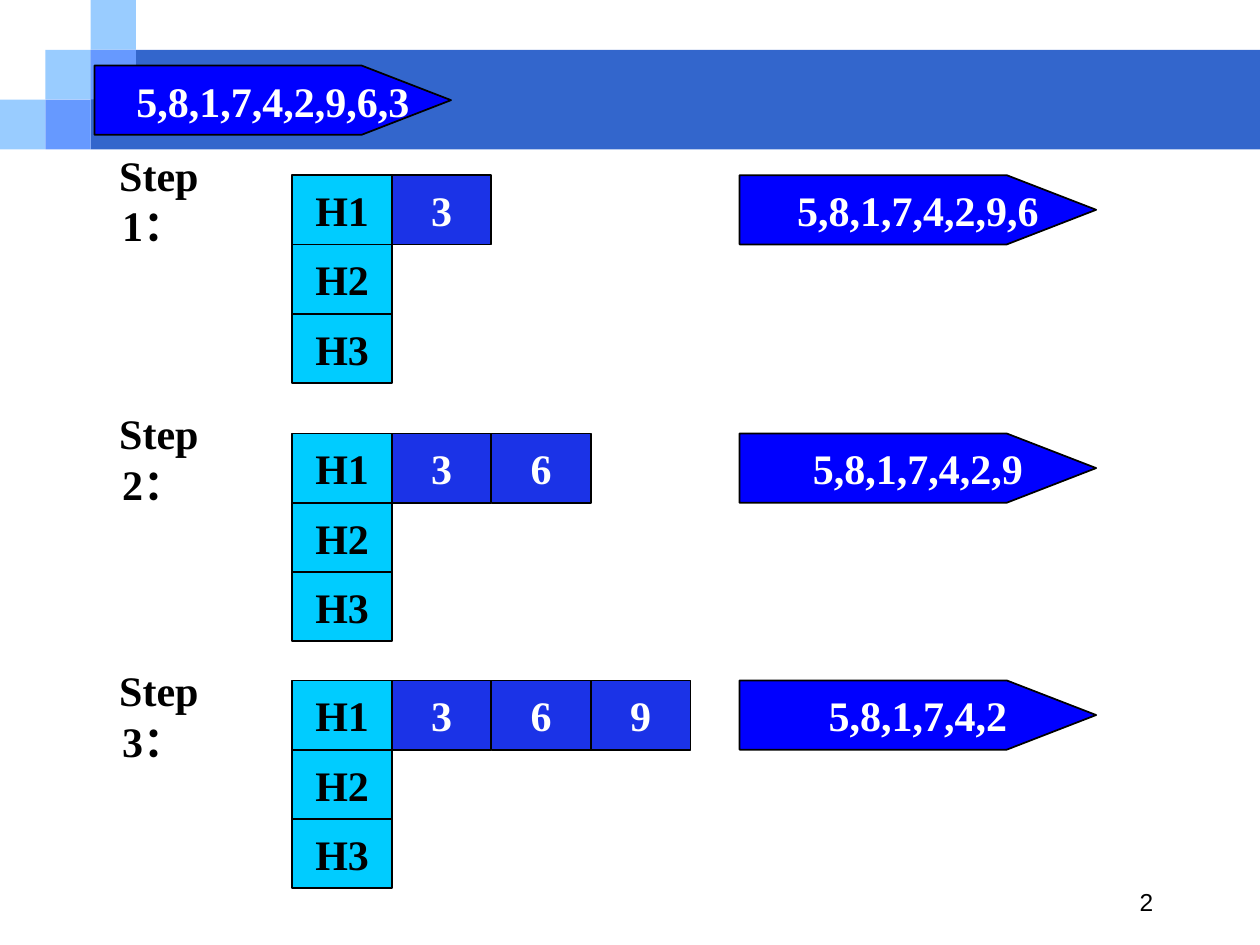
from dataclasses import dataclass

from pptx import Presentation
from pptx.dml.color import RGBColor
from pptx.enum.shapes import MSO_SHAPE as Shape
from pptx.enum.text import MSO_ANCHOR as Anchor, PP_ALIGN as Align
from pptx.util import Inches, Pt


@dataclass(frozen=True)
class Theme:
    """Colours, fonts and type sizes of the deck."""
    band: str = "3366CC"
    pale: str = "99CCFF"
    mid: str = "6699FF"
    head: str = "00CCFF"
    item: str = "1B33E7"
    queue: str = "0000FF"
    dark: str = "000000"
    light: str = "FFFFFF"
    serif: str = "Times New Roman"
    sans: str = "Arial"
    body: int = 24
    small: int = 14


THEME = Theme()
WIDTH, HEIGHT = 10, 7.5
TILE_W, TILE_H = 0.36, 0.395
CELL_W, CELL_H = 0.79, 0.55
HEADS_LEFT, QUEUE_LEFT, LABEL_LEFT = 2.32, 5.87, 0.59
QUEUE_W, QUEUE_BODY = 2.83, 2.12
TILES = [(0, 2, THEME.pale), (1, 1, THEME.pale), (2, 0, THEME.pale),
         (2, 1, THEME.mid), (1, 2, THEME.mid)]
HEADS = ["H1", "H2", "H3"]
QUEUE = ["5", "8", "1", "7", "4", "2", "9", "6", "3"]
STEPS = [(1.39, 1.31), (3.44, 3.36), (5.4, 5.4)]


def write(box, text, color, size=THEME.body, font=THEME.serif, bold=True,
          align=Align.CENTER, wrap=False):
    """Put one formatted line of text into a shape."""
    frame = box.text_frame
    frame.word_wrap = wrap
    frame.vertical_anchor = Anchor.MIDDLE
    para = frame.paragraphs[0]
    para.text = text
    para.alignment = align
    para.font.name, para.font.size, para.font.bold = font, Pt(size), bold
    para.font.color.rgb = RGBColor.from_string(color)


def paint(box, fill, outlined=True):
    """Give a shape a flat fill and an optional thin outline."""
    box.shadow.inherit = False
    box.fill.solid()
    box.fill.fore_color.rgb = RGBColor.from_string(fill)
    if outlined:
        box.line.color.rgb = RGBColor.from_string(THEME.dark)
        box.line.width = Pt(1)
    else:
        box.line.fill.background()


def add_block(page, left, top, width, height, fill, outlined=False):
    """Add a filled rectangle."""
    box = page.shapes.add_shape(Shape.RECTANGLE, *map(Inches, (left, top, width, height)))
    paint(box, fill, outlined)
    return box


def add_label(page, left, top, width, height, text, **style):
    """Add a dark text box."""
    box = page.shapes.add_textbox(*map(Inches, (left, top, width, height)))
    write(box, text, THEME.dark, **style)


def add_cell(page, column, row, top, text, fill, color):
    """Add one cell of a step's grid of heads and items."""
    box = add_block(page, HEADS_LEFT + column * CELL_W, top + row * CELL_H,
                    CELL_W, CELL_H, fill, outlined=True)
    write(box, text, color)


def add_queue(page, left, top, items):
    """Add an arrow-shaped queue listing the remaining items."""
    builder = page.shapes.build_freeform(Inches(left), Inches(top))
    corners = [(QUEUE_BODY, 0), (QUEUE_W, CELL_H / 2), (QUEUE_BODY, CELL_H), (0, CELL_H)]
    builder.add_line_segments([(Inches(left + x), Inches(top + y)) for x, y in corners])
    box = builder.convert_to_shape()
    paint(box, THEME.queue)
    write(box, ",".join(items), THEME.light)


def add_banner(page):
    """Add the title band and its staircase of tiles."""
    left = 2 * TILE_W
    add_block(page, left, TILE_H, WIDTH - left, 2 * TILE_H, THEME.band)
    for column, row, fill in TILES:
        add_block(page, column * TILE_W, row * TILE_H, TILE_W, TILE_H, fill)


def add_step(page, number, top, label_top):
    """Add a step: its label, heads, moved items and remaining queue."""
    add_label(page, LABEL_LEFT, label_top, 1.26, CELL_H, f" Step {number}：")
    for row, head in enumerate(HEADS):
        add_cell(page, 0, row, top, head, THEME.head, THEME.dark)
    for column, item in enumerate(QUEUE[:-number - 1:-1], 1):
        add_cell(page, column, 0, top, item, THEME.item, THEME.light)
    add_queue(page, QUEUE_LEFT, top, QUEUE[:-number])


def main():
    """Build and save the slide."""
    deck = Presentation()
    deck.slide_width, deck.slide_height = Inches(WIDTH), Inches(HEIGHT)
    page = deck.slides.add_slide(deck.slide_layouts[6])
    add_banner(page)
    add_label(page, 7.17, 6.91, 2.08, 0.5, "2", size=THEME.small, font=THEME.sans,
              bold=False, align=Align.RIGHT, wrap=True)
    add_queue(page, 0.75, 0.52, QUEUE)
    for number, (top, label_top) in enumerate(STEPS, 1):
        add_step(page, number, top, label_top)
    deck.save("out.pptx")


if __name__ == "__main__":
    main()
